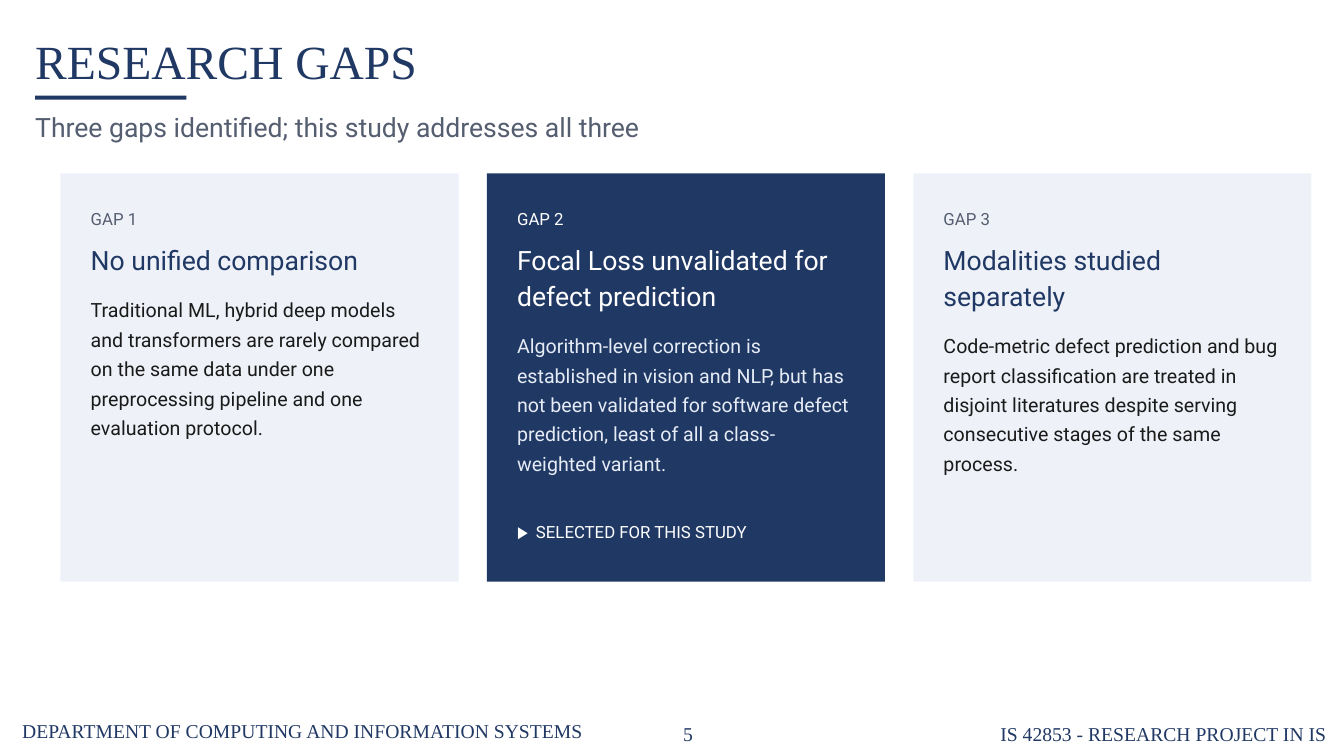
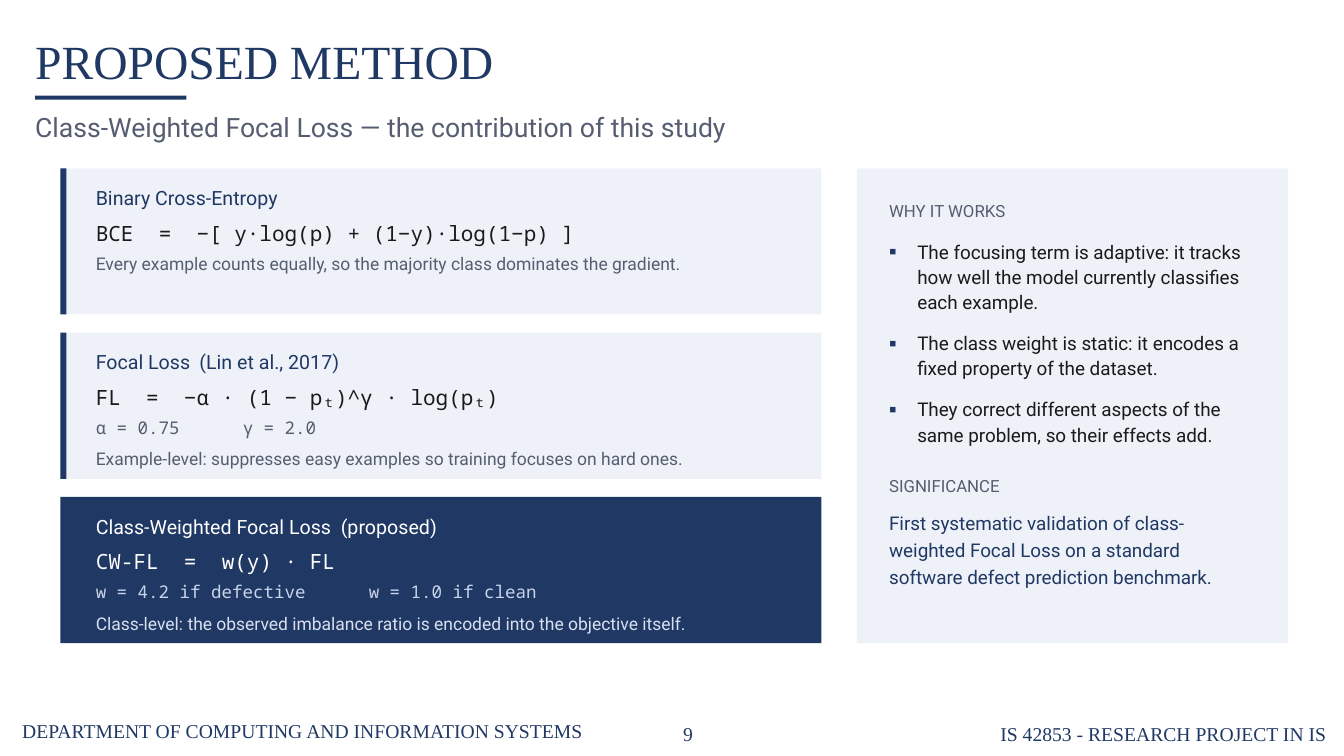
from lxml import etree
from pptx import Presentation
from pptx import util as u
from pptx.dml.color import RGBColor
from pptx.enum import shapes, text
from pptx.oxml.ns import qn

HUES = {
    "navy": "203864", "pale": "EEF2F8", "gray": "555E70", "ink": "1A1A1A",
    "white": "FFFFFF", "mist": "E6ECF6", "sky": "C8D4EA", "haze": "D8E0F0",
}
SANS, SERIF, MONO = "Roboto", "Times New Roman", "Noto Sans Mono"
COLS, ROWS = 133.33, 75
ALIGN = {"l": text.PP_ALIGN.LEFT, "c": text.PP_ALIGN.CENTER, "r": text.PP_ALIGN.RIGHT}


def line(words, size, hue, font=SANS, lead=1.15, after=0, before=0,
         side="l", stops=(), mark=None):
    return dict(words=words, size=size, hue=hue, font=font, lead=lead, after=after,
                before=before, side=side, stops=stops, mark=mark)


def code(parts, gap, size, hue, after):
    stops, place = [], 0
    for part in parts[:-1]:
        place += len(part) + gap
        stops.append(round(place * size * 0.6, 2))
    return line("\t".join(parts), size, hue, MONO, after=after, stops=stops)


class Deck:
    def __init__(self):
        self.file = Presentation()
        self.file.slide_width = u.Inches(13.333)
        self.file.slide_height = u.Inches(7.5)
        self.slide = None

    def area(self, x, y, w, h):
        col = self.file.slide_width / COLS
        row = self.file.slide_height / ROWS
        return [round(n) for n in (x * col, y * row, w * col, h * row)]

    def page(self, title, lead, number):
        self.slide = self.file.slides.add_slide(self.file.slide_layouts[6])
        self.note(2.2, 71, 60.2, 3.2, [
            line("DEPARTMENT OF COMPUTING AND INFORMATION SYSTEMS", 14, "navy", SERIF)])
        self.note(97.2, 71.3, 34.4, 2.8, [
            line("IS 42853 - RESEARCH PROJECT IN IS", 14, "navy", SERIF, side="r")])
        self.note(63.9, 71.3, 8.7, 2.8, [line(number, 14, "navy", SERIF, side="c")])
        self.note(3.5, 2, 103, 7.2, [line(title, 34, "navy", SERIF)],
                  text.MSO_ANCHOR.MIDDLE)
        self.block(3.5, 9.5, 15, 0.4, "navy")
        self.note(3.5, 10.5, 124, 4.4, [line(lead, 19, "gray")])

    def block(self, x, y, w, h, hue):
        shape = self.slide.shapes.add_shape(
            shapes.MSO_SHAPE.RECTANGLE, *self.area(x, y, w, h))
        shape.shadow.inherit = False
        shape.fill.solid()
        shape.fill.fore_color.rgb = RGBColor.from_string(HUES[hue])
        shape.line.fill.background()

    def note(self, x, y, w, h, lines, anchor=text.MSO_ANCHOR.TOP):
        frame = self.slide.shapes.add_textbox(*self.area(x, y, w, h)).text_frame
        frame.word_wrap = True
        frame.auto_size = text.MSO_AUTO_SIZE.SHAPE_TO_FIT_TEXT
        frame.vertical_anchor = anchor
        frame.margin_left = frame.margin_right = 0
        frame.margin_top = frame.margin_bottom = 0
        for i, item in enumerate(lines):
            para = frame.add_paragraph() if i else frame.paragraphs[0]
            self.typeset(para, item)

    def typeset(self, para, item):
        if item["mark"]:
            self.bullet(para, item["mark"])
        if item["stops"]:
            tabs = etree.SubElement(para._p.get_or_add_pPr(), qn("a:tabLst"))
            for stop in item["stops"]:
                etree.SubElement(tabs, qn("a:tab"), pos=str(u.Pt(stop)), algn="l")
        para.alignment = ALIGN[item["side"]]
        para.line_spacing = item["lead"]
        para.space_before = u.Pt(item["before"])
        para.space_after = u.Pt(item["after"])
        run = para.add_run()
        run.text = item["words"]
        run.font.size = u.Pt(item["size"])
        run.font.name = item["font"]
        run.font.color.rgb = RGBColor.from_string(HUES[item["hue"]])

    def bullet(self, para, mark):
        props = para._p.get_or_add_pPr()
        hang = u.Inches(0.28)
        props.set("marL", str(hang))
        props.set("indent", str(-hang))
        tint = etree.SubElement(props, qn("a:buClr"))
        etree.SubElement(tint, qn("a:srgbClr"), val=HUES["navy"])
        etree.SubElement(props, qn("a:buFont"), typeface=SANS)
        etree.SubElement(props, qn("a:buChar"), char=mark)

    def card(self, x, tag, head, body, dark):
        fill, dim, main, plain = (("navy", "white", "white", "mist") if dark
                                  else ("pale", "gray", "navy", "ink"))
        self.block(x, 17.2, 39.5, 40.5, fill)
        self.note(x + 3, 20.4, 33.5, 30, [
            line(tag, 12, dim, after=8),
            line(head, 19, main, lead=1.12, after=12),
            line(body, 14, plain, lead=1.25)])
        if dark:
            self.note(x + 3, 51.5, 33.5, 3.4, [
                line("▶\tSELECTED FOR THIS STUDY", 12, "white", stops=[13.5])])

    def panel(self, y, head, stops, parts, terms, body, dark):
        fill, main, plain, dim, last = (
            ("navy", "white", "white", "sky", "haze") if dark
            else ("pale", "navy", "ink", "gray", "gray"))
        self.block(6, y, 75.5, 14.5, fill)
        if not dark:
            self.block(6, y, 0.6, 14.5, "navy")
        lines = [line(head, 14, main, after=5, stops=stops),
                 code(parts, 2, 15, plain, 3)]
        if terms:
            lines.append(code(terms, 6, 12.5, dim, 5))
        lines.append(line(body, 12.5, last, lead=1.16))
        self.note(9.5, y + 1.4, 69.5, 12, lines)


def gaps(deck):
    deck.page("RESEARCH GAPS", "Three gaps identified; this study addresses all three", "5")
    cards = [
        ("No unified comparison",
         "Traditional ML, hybrid deep models and transformers are rarely compared on the "
         "same data under one preprocessing pipeline and one evaluation protocol."),
        ("Focal Loss unvalidated for defect prediction",
         "Algorithm-level correction is established in vision and NLP, but has not been "
         "validated for software defect prediction, least of all a class-weighted variant."),
        ("Modalities studied separately",
         "Code-metric defect prediction and bug report classification are treated in "
         "disjoint literatures despite serving consecutive stages of the same process."),
    ]
    for i, (head, body) in enumerate(cards):
        deck.card(6 + 42.3 * i, f"GAP {i + 1}", head, body, i == 1)


def method(deck):
    deck.page("PROPOSED METHOD", "Class-Weighted Focal Loss — the contribution of this study", "9")
    panels = [
        ("Binary Cross-Entropy", [],
         ["BCE", "=", "−[ y·log(p) + (1−y)·log(1−p) ]"], [],
         "Every example counts equally, so the majority class dominates the gradient."),
        ("Focal Loss\t(Lin et al., 2017)", [74],
         ["FL", "=", "−α · (1 − pₜ)^γ · log(pₜ)"], ["α = 0.75", "γ = 2.0"],
         "Example-level: suppresses easy examples so training focuses on hard ones."),
        ("Class-Weighted Focal Loss\t(proposed)", [175],
         ["CW-FL", "=", "w(y) · FL"], ["w = 4.2 if defective", "w = 1.0 if clean"],
         "Class-level: the observed imbalance ratio is encoded into the objective itself."),
    ]
    for i, panel in enumerate(panels):
        deck.panel(16.7 + 16.3 * i, *panel, i == 2)
    points = [
        "The focusing term is adaptive: it tracks how well the model currently classifies "
        "each example.",
        "The class weight is static: it encodes a fixed property of the dataset.",
        "They correct different aspects of the same problem, so their effects add.",
    ]
    deck.block(85, 16.7, 42.8, 47.1, "pale")
    deck.note(88.2, 19.6, 36.5, 41, [
        line("WHY IT WORKS", 12, "gray", after=12),
        *[line(point, 13.5, "ink", lead=1.12, after=11, mark="▪") for point in points],
        line("SIGNIFICANCE", 12, "gray", before=8, after=8),
        line("First systematic validation of class-weighted Focal Loss on a standard "
             "software defect prediction benchmark.", 13.5, "navy", lead=1.2)])


def main():
    deck = Deck()
    gaps(deck)
    method(deck)
    deck.file.save("out.pptx")


if __name__ == "__main__":
    main()
